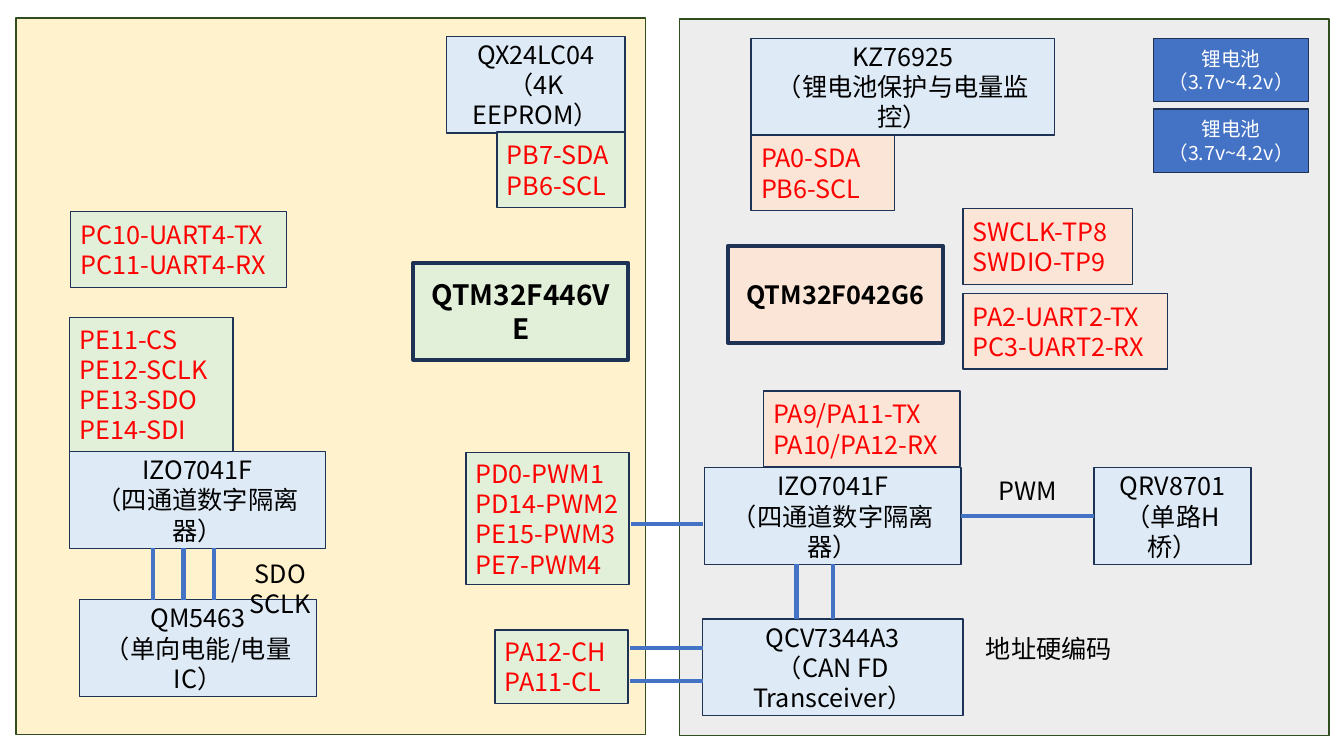
from lxml import etree
from pptx import Presentation
from pptx.dml.color import RGBColor
from pptx.enum.shapes import MSO_CONNECTOR, MSO_SHAPE
from pptx.enum.text import MSO_ANCHOR, MSO_AUTO_SIZE, PP_ALIGN
from pptx.oxml.ns import qn
from pptx.util import Pt

RECTANGLE = MSO_SHAPE.RECTANGLE
STRAIGHT = MSO_CONNECTOR.STRAIGHT
MIDDLE, TOP = MSO_ANCHOR.MIDDLE, MSO_ANCHOR.TOP
CENTER, LEFT = PP_ALIGN.CENTER, PP_ALIGN.LEFT
GROW = MSO_AUTO_SIZE.SHAPE_TO_FIT_TEXT

PX = 9144
SLIDE_WIDTH, SLIDE_HEIGHT = 1333, 750
FONT = "Noto Sans CJK SC"
COLORS = {
    "cream": "FFF2CC", "gray": "EDEDED", "green": "E2F0D9", "peach": "FBE5D6",
    "ice": "DEEBF7", "blue": "4472C4", "navy": "1E3256", "forest": "314C1F",
    "red": "FF0000", "black": "000000", "white": "FFFFFF",
}

BOARDS = [
    ((16, 18, 624, 711), "cream"),
    ((674, 19, 644, 711), "gray"),
]
CONTROLLERS = [
    ((410, 261), "green", 20, "QTM32F446VE"),
    ((722, 244), "peach", 18, "QTM32F042G6"),
]
CONTROLLER_SIZE = (213, 96)
CHIP_HEIGHT = 96
CHIPS = {
    "eeprom": (443, 36, 177, ["QX24LC04", "（4K EEPROM）"]),
    "battery monitor": (745, 38, 301, ["KZ76925", "（锂电池保护与电量监控）"]),
    "meter isolator": (69, 448, 254, ["IZO7041F", "（四通道数字隔离器）"]),
    "meter": (79, 595, 235, ["QM5463", "（单向电能/电量IC）"]),
    "can isolator": (699, 464, 254, ["IZO7041F", "（四通道数字隔离器）"]),
    "can transceiver": (697, 614, 258, ["QCV7344A3", "（CAN FD Transceiver）"]),
    "bridge": (1085, 464, 156, ["QRV8701", "（单路H桥）"]),
}
PINS = [
    ((491, 625, 132, 73), "green", ["PA12-CH", "PA11-CL"]),
    ((462, 449, 162, 131), "green", ["PD0-PWM1", "PD14-PWM2", "PE15-PWM3", "PE7-PWM4"]),
    ((493, 131, 127, 75), "green", ["PB7-SDA", "PB6-SCL"]),
    ((69, 315, 162, 133), "green", ["PE11-CS", "PE12-SCLK", "PE13-SDO", "PE14-SDI"]),
    ((70, 210, 214, 75), "green", ["PC10-UART4-TX", "PC11-UART4-RX"]),
    ((745, 134, 142, 75), "peach", ["PA0-SDA", "PB6-SCL"]),
    ((757, 388, 195, 75), "peach", ["PA9/PA11-TX", "PA10/PA12-RX"]),
    ((955, 207, 168, 75), "peach", ["SWCLK-TP8", "SWDIO-TP9"]),
    ((955, 291, 203, 75), "peach", ["PA2-UART2-TX", "PC3-UART2-RX"]),
]
CELL_TEXT = ["锂电池", "（3.7v~4.2v）"]
CELL_LEFT, CELL_TOP, CELL_PITCH, CELL_COUNT = 1144, 38, 70, 2
CELL_SIZE = (154, 63)
LABELS = [
    ((968, 623, 157, 40), "地址硬编码", LEFT),
    ((976, 467, 87, 40), "PWM", CENTER),
    ((213, 549, 130, 40), "SDO SCLK", CENTER),
]
METER_WIRES = [(x, 544, x, 595) for x in range(152, 213, 30)]
CAN_WIRES = [(625, y, 697, y) for y in (643, 676)]
WIRES = METER_WIRES + CAN_WIRES + [(626, 520, 697, 520), (790, 560, 790, 614)]
JOINED_WIRES = [
    ("can isolator", 2, "can transceiver", 0),
    ("bridge", 1, "can isolator", 3),
]


def emu(lengths):
    return [length * PX for length in lengths]


def rgb(name):
    return RGBColor.from_string(COLORS[name])


def write(shape, lines, size=18, color="black", bold=False, align=CENTER, anchor=MIDDLE):
    frame = shape.text_frame
    frame.word_wrap = True
    frame.vertical_anchor = anchor
    for index, line in enumerate(lines):
        paragraph = frame.add_paragraph() if index else frame.paragraphs[0]
        paragraph.alignment = align
        run = paragraph.add_run()
        run.text = line
        run.font.name = FONT
        run.font.size = Pt(size)
        run.font.bold = bold
        run.font.color.rgb = rgb(color)
        etree.SubElement(run.font._element, qn("a:ea"), typeface=FONT)


def add_box(place, fill, border="navy", weight=1):
    box = shapes.add_shape(RECTANGLE, *emu(place))
    box.shadow.inherit = False
    box.fill.solid()
    box.fill.fore_color.rgb = rgb(fill)
    box.line.color.rgb = rgb(border)
    box.line.width = Pt(weight)
    return box


def add_wire(ends):
    wire = shapes.add_connector(STRAIGHT, *emu(ends))
    wire.line.color.rgb = rgb("blue")
    wire.line.width = Pt(3)
    etree.SubElement(wire._element.spPr, qn("a:effectLst"))
    return wire


presentation = Presentation()
presentation.slide_width, presentation.slide_height = emu((SLIDE_WIDTH, SLIDE_HEIGHT))
shapes = presentation.slides.add_slide(presentation.slide_layouts[6]).shapes

for place, fill in BOARDS:
    add_box(place, fill, border="forest")

for corner, fill, size, name in CONTROLLERS:
    write(add_box(corner + CONTROLLER_SIZE, fill, weight=3), [name], size=size, bold=True)

for row in range(CELL_COUNT):
    cell = add_box((CELL_LEFT, CELL_TOP + row * CELL_PITCH) + CELL_SIZE, "blue")
    write(cell, CELL_TEXT, size=14, color="white")

chip_boxes = {}
for chip, (left, top, width, lines) in CHIPS.items():
    chip_boxes[chip] = add_box((left, top, width, CHIP_HEIGHT), "ice")
    write(chip_boxes[chip], lines)

for place, fill, lines in PINS:
    write(add_box(place, fill), lines, color="red", align=LEFT)

for ends in WIRES:
    add_wire(ends)

for source, source_side, target, target_side in JOINED_WIRES:
    wire = add_wire((0, 0, 0, 0))
    wire.begin_connect(chip_boxes[source], source_side)
    wire.end_connect(chip_boxes[target], target_side)

for place, caption, align in LABELS:
    label = shapes.add_textbox(*emu(place))
    write(label, [caption], align=align, anchor=TOP)
    label.text_frame.auto_size = GROW

presentation.save("out.pptx")
